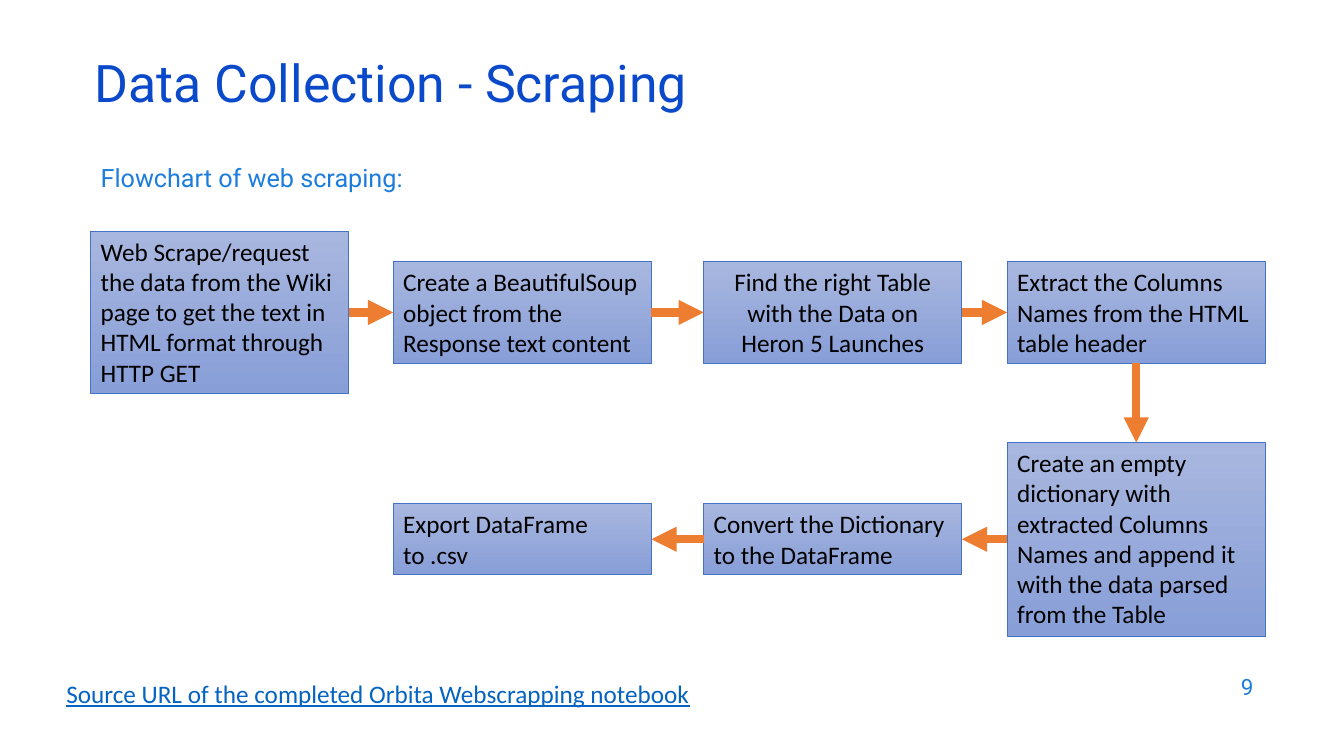
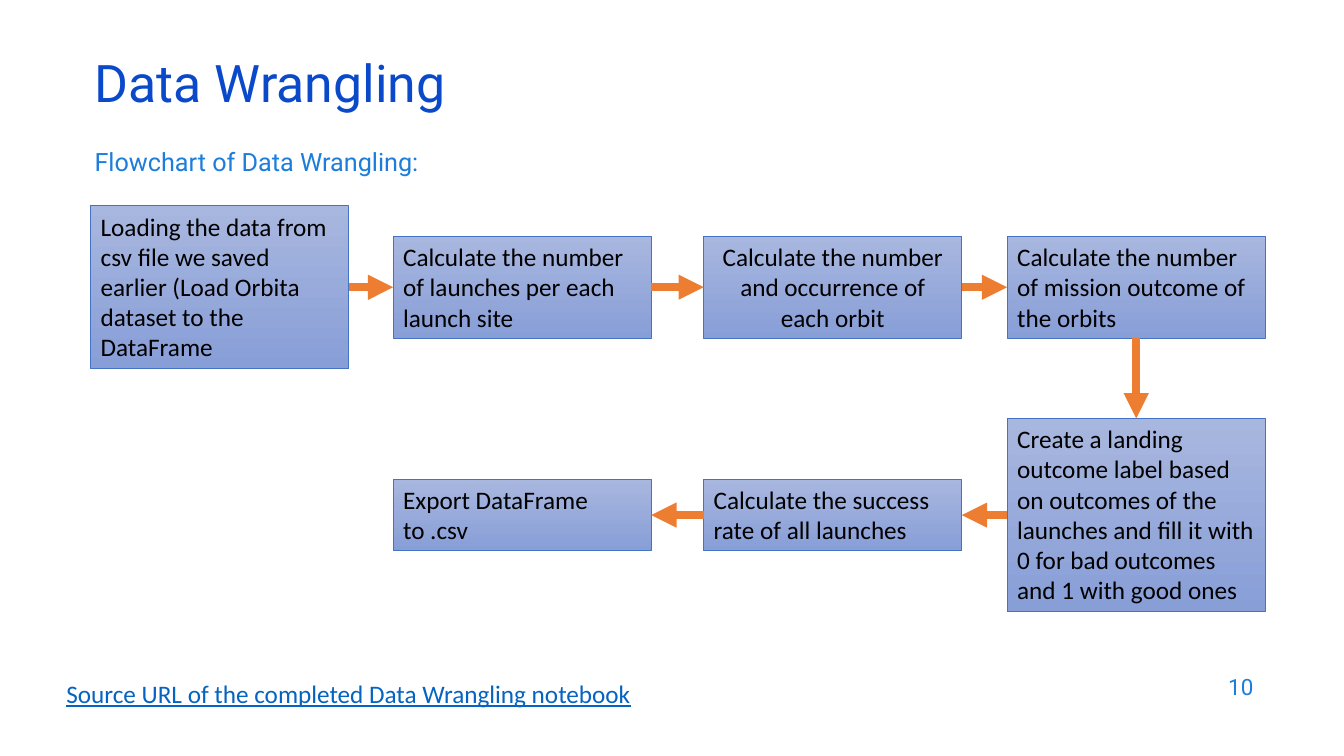
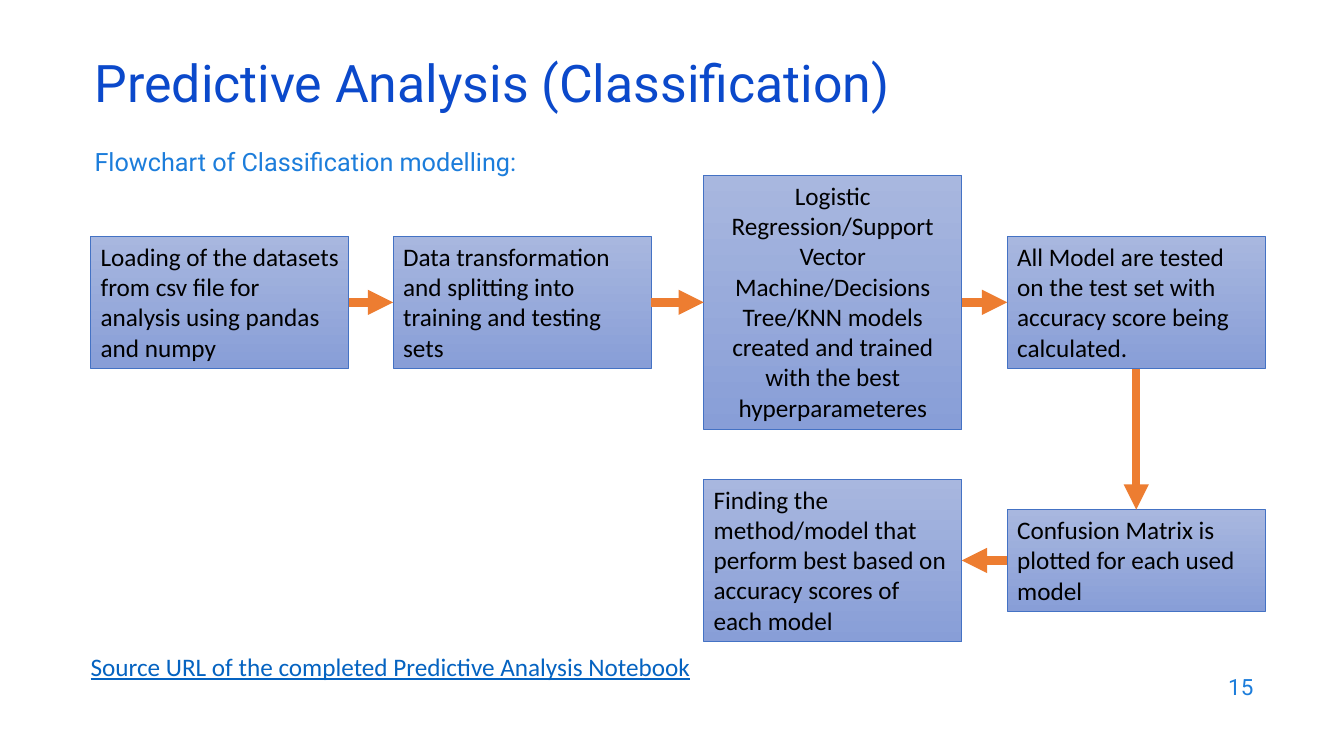
from lxml import etree
from pptx import Presentation, util as u
from pptx.dml.color import RGBColor
from pptx.enum import shapes, text
from pptx.oxml.ns import qn

TITLE_BLUE = RGBColor(0x0B, 0x49, 0xCB)
TEXT_BLUE = RGBColor(0x1C, 0x7D, 0xDB)
LINK_BLUE = RGBColor(0x05, 0x63, 0xC1)
BOX_TOP = RGBColor(0xA8, 0xB7, 0xDF)
BOX_BOTTOM = RGBColor(0x88, 0x9E, 0xD7)
BOX_EDGE = RGBColor(0x44, 0x72, 0xC4)
ARROW_ORANGE = RGBColor(0xED, 0x7D, 0x31)
BLACK = RGBColor(0, 0, 0)

COLUMNS = [0.9, 3.9, 6.98, 9.99]
BOX_WIDTH = 2.56
LINE_HEIGHT = 0.303
BOX_PADDING = 0.1
TOP, LEFT, BOTTOM, RIGHT = range(4)  # connection sites of a rectangle
NBSP = chr(160)
EXPORT_STEP = f"Export DataFrame to{NBSP}.csv"

# Each flow runs right along the upper row, then back left along the lower row.
# A step is its text and its number of lines.
SLIDES = [
    dict(
        number=9, title="Data Collection - Scraping",
        subtitle="Flowchart of web scraping:", subtitle_at=(0.9, 1.56),
        link="Source URL of the completed Orbita Webscrapping notebook", link_at=(0.56, 6.68),
        row_centres=(3.1, 5.35),
        upper=[("Web Scrape/request the data from the Wiki page to get the text in "
                "HTML format through HTTP GET", 5),
               ("Create a BeautifulSoup object from the Response text content", 3),
               ("Find the right Table with the Data on Heron 5 Launches", 3),
               ("Extract the Columns Names from the HTML table header", 3)],
        lower=[("Create an empty dictionary with extracted Columns Names and append it "
                "with the data parsed from the Table", 6),
               ("Convert the Dictionary to the DataFrame", 2),
               (EXPORT_STEP, 2)]),
    dict(
        number=10, title="Data Wrangling",
        subtitle="Flowchart of Data Wrangling:", subtitle_at=(0.84, 1.4),
        link="Source URL of the completed Data Wrangling notebook", link_at=(0.56, 6.68),
        row_centres=(2.85, 5.11),
        upper=[("Loading the data from csv file we saved earlier (Load Orbita dataset "
                "to the DataFrame", 5),
               ("Calculate the number of launches per each launch site", 3),
               ("Calculate the number and occurrence of each orbit", 3),
               ("Calculate the number of mission outcome of the orbits", 3)],
        lower=[("Create a landing outcome label based on outcomes of the launches and "
                "fill it with 0 for bad outcomes and 1 with good ones", 6),
               ("Calculate the success rate of all launches", 2),
               (EXPORT_STEP, 2)]),
    dict(
        number=15, title="Predictive Analysis (Classification)",
        subtitle="Flowchart of Classification modelling:", subtitle_at=(0.84, 1.4),
        link="Source URL of the completed Predictive Analysis Notebook", link_at=(0.8, 6.41),
        row_centres=(3.0, 5.56),
        upper=[("Loading of the datasets from csv file for analysis using pandas and numpy", 4),
               ("Data transformation and splitting into training and testing sets", 4),
               ("Logistic Regression/Support Vector Machine/Decisions Tree/KNN models "
                "created and trained with the best hyperparameteres", 8),
               ("All Model are tested on the test set with accuracy score being calculated.", 4)],
        lower=[("Confusion Matrix is plotted for each used model", 3),
               ("Finding the method/model that perform best based on accuracy scores "
                "of each model", 5)]),
]


def write(shape, words, size, font, color, align=text.PP_ALIGN.LEFT,
          anchor=text.MSO_ANCHOR.TOP):
    """Put one formatted paragraph in the shape and return the paragraph."""
    frame = shape.text_frame
    frame.word_wrap = True
    frame.auto_size = text.MSO_AUTO_SIZE.NONE
    frame.vertical_anchor = anchor
    frame.text = words
    para = frame.paragraphs[0]
    para.alignment = align
    para.font.size, para.font.name = u.Pt(size), font
    para.font.color.rgb = color
    return para


def add_arrow(page, start, start_site, end, end_site):
    arrow = page.shapes.add_connector(shapes.MSO_CONNECTOR.STRAIGHT, 0, 0, 0, 0)
    arrow.begin_connect(start, start_site)
    arrow.end_connect(end, end_site)
    arrow.line.color.rgb = ARROW_ORANGE
    arrow.line.width = u.Pt(6)
    etree.SubElement(arrow.line._get_or_add_ln(), qn("a:tailEnd"), type="triangle")
    etree.SubElement(arrow._element.spPr, qn("a:effectLst"))


deck = Presentation()
deck.slide_width, deck.slide_height = u.Inches(13.33), u.Inches(7.5)
title_only = deck.slide_layouts[5]

for content in SLIDES:
    page = deck.slides.add_slide(title_only)

    title = page.shapes.title
    title.left, title.top = u.Inches(0.84), u.Inches(0.59)
    title.width, title.height = u.Inches(11.5), u.Inches(0.6)
    para = write(title, content["title"], 37, "Roboto", TITLE_BLUE,
                 anchor=text.MSO_ANCHOR.MIDDLE)
    para.line_spacing = 0.7

    left, top = content["subtitle_at"]
    subtitle = page.shapes.add_textbox(u.Inches(left), u.Inches(top), u.Inches(11.54), u.Inches(0.4))
    write(subtitle, content["subtitle"], 18, "Roboto", TEXT_BLUE)

    upper_centre, lower_centre = content["row_centres"]
    steps = [(column, upper_centre, *step) for column, step in enumerate(content["upper"])]
    steps += [(3 - back, lower_centre, *step) for back, step in enumerate(content["lower"])]
    boxes = []
    for column, centre, words, lines in steps:
        height = BOX_PADDING + lines * LINE_HEIGHT
        box = page.shapes.add_shape(
            shapes.MSO_SHAPE.RECTANGLE, u.Inches(COLUMNS[column]),
            u.Inches(centre - height / 2), u.Inches(BOX_WIDTH), u.Inches(height))
        box.shadow.inherit = False
        box.fill.gradient()
        box.fill.gradient_angle = 270
        for stop, color in zip(box.fill.gradient_stops, (BOX_TOP, BOX_BOTTOM)):
            stop.color.rgb = color
        box.line.color.rgb = BOX_EDGE
        box.line.width = u.Pt(0.5)
        centred = column == 2 and centre == upper_centre
        write(box, words, 18, "Calibri", BLACK,
              text.PP_ALIGN.CENTER if centred else text.PP_ALIGN.LEFT)
        boxes.append(box)

    turn = len(content["upper"]) - 1
    for index, (start, end) in enumerate(zip(boxes, boxes[1:])):
        if index < turn:
            sites = RIGHT, LEFT
        elif index == turn:
            sites = BOTTOM, TOP
        else:
            sites = LEFT, RIGHT
        add_arrow(page, start, sites[0], end, sites[1])

    left, top = content["link_at"]
    link = page.shapes.add_textbox(u.Inches(left), u.Inches(top), u.Inches(11.63), u.Inches(0.4))
    write(link, content["link"], 18, "Calibri", LINK_BLUE).font.underline = True

    number = page.shapes.add_textbox(u.Inches(9.53), u.Inches(6.59), u.Inches(3), u.Inches(0.44))
    write(number, str(content["number"]), 16, "Roboto", TEXT_BLUE,
          text.PP_ALIGN.RIGHT, text.MSO_ANCHOR.MIDDLE)

deck.save("out.pptx")
